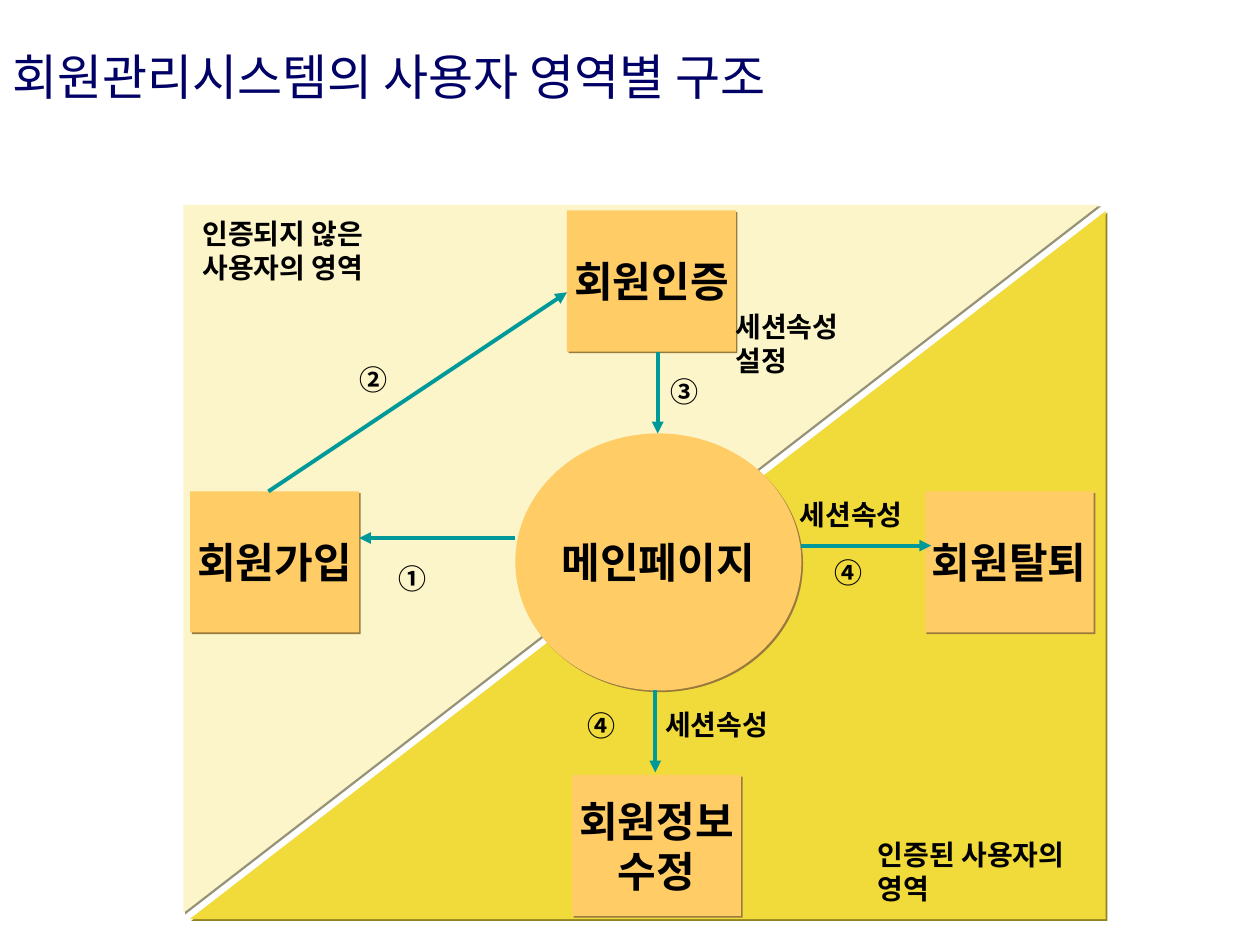
from lxml import etree
from pptx import Presentation
from pptx import util as u
from pptx.dml.color import RGBColor
from pptx.enum import shapes, text
from pptx.oxml import parse_xml
from pptx.oxml.ns import nsdecls, qn

PX = 9144  # 100 px to the inch
FACE = "Noto Sans CJK KR"
INK, TEAL, ORANGE = "010000", "009999", "FFCC66"
kind = shapes.MSO_SHAPE


def color(code):
    return RGBColor.from_string(code)


def style(para, size, code, bold):
    font = para.font
    font.size, font.bold, font.name = u.Pt(size), bold, FACE
    font.color.rgb = color(code)
    mark = para._p.pPr.find(qn("a:defRPr"))
    etree.SubElement(mark, qn("a:ea")).set("typeface", FACE)


deck = Presentation()
deck.slide_width, deck.slide_height = 1000 * PX, 750 * PX
slide = deck.slides.add_slide(deck.slide_layouts[5])

# Title
title = slide.shapes.title
title.left, title.top, title.width, title.height = 0, 21 * PX, 739 * PX, 90 * PX
frame = title.text_frame
frame.text = "회원관리시스템의 사용자 영역별 구조"
frame.auto_size = text.MSO_AUTO_SIZE.NONE
frame.vertical_anchor = text.MSO_ANCHOR.MIDDLE
para = frame.paragraphs[0]
para.alignment = text.PP_ALIGN.LEFT
para.line_spacing = 0.7
style(para, 28, "000066", False)

# User areas and pages
group = slide.shapes.add_group_shape().shapes
pages = [
    (kind.RIGHT_TRIANGLE, 233, 85, 562, 727, 270, "F1DB3B", "918323", ""),
    (kind.RIGHT_TRIANGLE, 228, 80, 562, 727, 90, "FBF5C9", "979379", ""),
    (kind.OVAL, 409, 344, 227, 204, 0, ORANGE, "997A3D", "메인페이지"),
]
for x, y, words in [
    (450, 167, "회원인증"),
    (454, 615, "회원정보\n수정"),
    (734, 390, "회원탈퇴"),
    (151, 390, "회원가입"),
]:
    pages.append((kind.RECTANGLE, x, y, 134, 112, 0, ORANGE, "997A3D", words))

for form, x, y, w, h, turn, fill, shade, words in pages:
    page = group.add_shape(form, x * PX, y * PX, w * PX, h * PX)
    page.rotation = turn
    page.fill.solid()
    page.fill.fore_color.rgb = color(fill)
    page.line.fill.background()
    page.shadow.inherit = False
    glow = page._element.spPr.find(qn("a:effectLst"))
    glow.append(parse_xml(
        f'<a:outerShdw {nsdecls("a")} blurRad="0" dist="17780" dir="2700000" '
        f'algn="ctr" rotWithShape="0"><a:srgbClr val="{shade}"/></a:outerShdw>'))
    if words:
        frame = page.text_frame
        frame.text = words
        frame.word_wrap = False
        frame.vertical_anchor = text.MSO_ANCHOR.MIDDLE
        for para in frame.paragraphs:
            para.alignment = text.PP_ALIGN.CENTER
            para.line_spacing = u.Pt(28.8)
            style(para, 24, INK, True)

# Arrows
for x1, y1, x2, y2 in [
    (213, 390, 450, 232),
    (409, 427, 285, 427),
    (522, 279, 522, 344),
    (520, 548, 520, 613),
    (636, 433, 739, 433),
]:
    arrow = group.add_connector(
        shapes.MSO_CONNECTOR.STRAIGHT, x1 * PX, y1 * PX, x2 * PX, y2 * PX)
    arrow.line.color.rgb = color(TEAL)
    arrow.line.width = u.Pt(2.25)
    etree.SubElement(arrow.line._ln, qn("a:tailEnd")).set("type", "triangle")
    etree.SubElement(arrow._element.spPr, qn("a:effectLst"))

# Step numbers (no margins) and notes
labels = [(x, y, 31, 27, 0, sign) for x, y, sign in [
    (316, 446, "①"),
    (285, 288, "②"),
    (532, 297, "③"),
    (466, 562, "④"),
    (662, 441, "④"),
]]
labels += [(x, y, w, h, 1, words) for x, y, w, h, words in [
    (151, 167, 186, 64, "인증되지 않은 사용자의 영역"),
    (687, 660, 186, 64, "인증된 사용자의 영역"),
    (574, 241, 134, 64, "세션속성 설정"),
    (625, 390, 134, 37, "세션속성"),
    (518, 557, 134, 37, "세션속성"),
]]
for x, y, w, h, pad, words in labels:
    frame = group.add_textbox(x * PX, y * PX, w * PX, h * PX).text_frame
    frame.text = words
    frame.word_wrap = True
    frame.auto_size = text.MSO_AUTO_SIZE.SHAPE_TO_FIT_TEXT
    frame.margin_left = frame.margin_right = 10 * pad * PX
    frame.margin_top = frame.margin_bottom = 5 * pad * PX
    para = frame.paragraphs[0]
    para.space_before = u.Pt(10)
    para.line_spacing = u.Pt(19.2)
    style(para, 16, INK, True)

deck.save("out.pptx")
